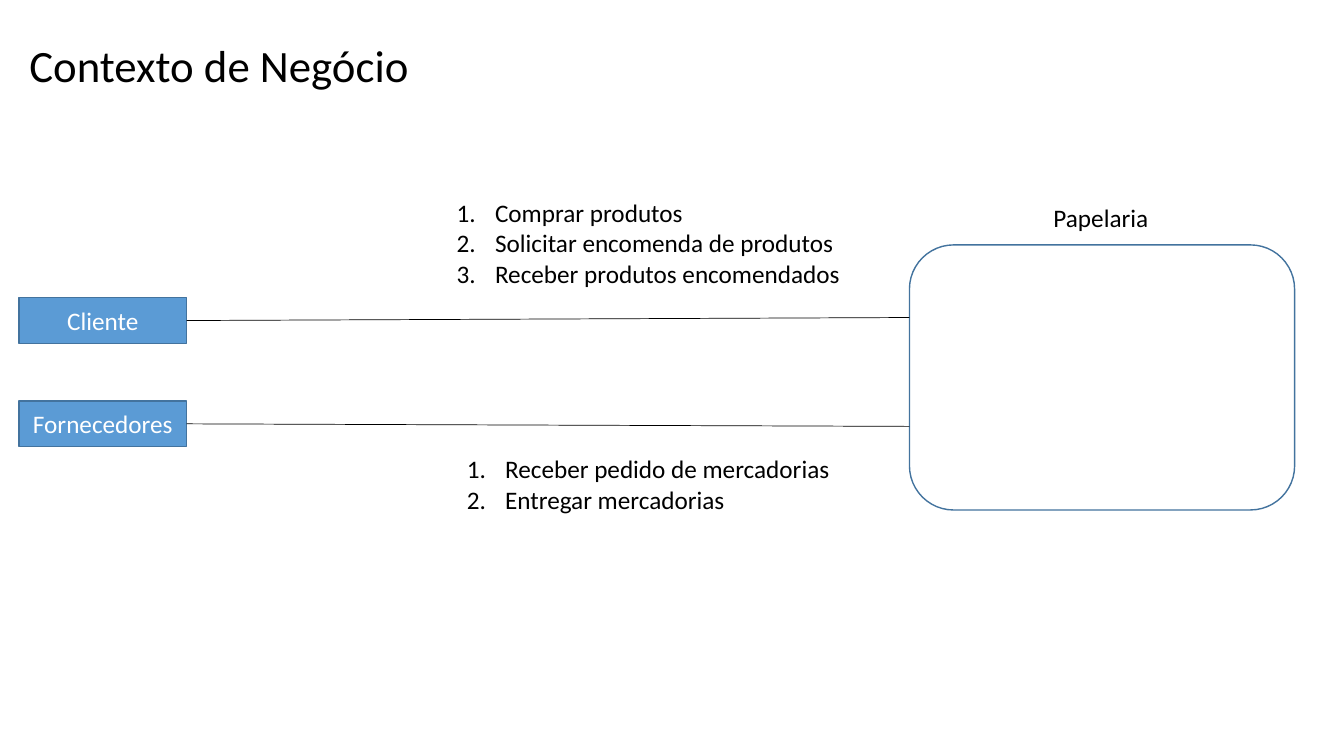
from dataclasses import dataclass

from lxml import etree
from pptx import Presentation
from pptx.dml.color import RGBColor
from pptx.enum.shapes import MSO_CONNECTOR, MSO_SHAPE
from pptx.enum.text import MSO_ANCHOR, MSO_AUTO_SIZE, PP_ALIGN
from pptx.oxml.ns import qn
from pptx.shapes.autoshape import Shape
from pptx.slide import Slide
from pptx.text.text import TextFrame
from pptx.util import Inches, Pt

BLUE = RGBColor(0x5B, 0x9B, 0xD5)
EDGE = RGBColor(0x43, 0x73, 0x9E)
BLACK = RGBColor(0, 0, 0)
WHITE = RGBColor(0xFF, 0xFF, 0xFF)
FONT = "Calibri"
RECT = MSO_SHAPE.RECTANGLE
ROUND = MSO_SHAPE.ROUNDED_RECTANGLE
LINE = MSO_CONNECTOR.STRAIGHT
LEFT, CENTER = PP_ALIGN.LEFT, PP_ALIGN.CENTER
TOP, MIDDLE = MSO_ANCHOR.TOP, MSO_ANCHOR.MIDDLE
FIXED = MSO_AUTO_SIZE.NONE
RIGHT_SITE = 3
TWO_LISTS = 3


@dataclass
class Area:
    """A place on the slide, in inches."""
    left: float
    top: float
    width: float
    height: float


@dataclass
class Actor:
    """A business actor, the end of its line and its numbered actions."""
    name: str
    area: Area
    end: float
    items: list[str]
    place: Area


SYSTEM = Area(9.02, 2.43, 3.82, 2.63)
ACTORS = [
    Actor("Cliente", Area(0.19, 2.95, 1.66, 0.46), 3.15,
          ["Comprar produtos", "Solicitar encomenda de produtos",
           "Receber produtos encomendados"],
          Area(4.43, 1.91, 4.04, 1.01)),
    Actor("Fornecedores", Area(0.19, 3.98, 1.66, 0.45), 4.23,
          ["Receber pedido de mercadorias", "Entregar mercadorias"],
          Area(4.53, 4.45, 3.84, 0.71)),
]


def move(shape: Shape, area: Area) -> None:
    """Put a shape in an area."""
    shape.left, shape.top = Inches(area.left), Inches(area.top)
    shape.width, shape.height = Inches(area.width), Inches(area.height)


def write(frame: TextFrame, lines: list[str], size: int = 18,
          color: RGBColor = BLACK, align: PP_ALIGN = LEFT,
          anchor: MSO_ANCHOR = TOP, wrap: bool = True) -> None:
    """Fill a text frame with evenly formatted paragraphs."""
    frame.text = "\n".join(lines)
    frame.word_wrap = wrap
    frame.auto_size = FIXED
    frame.vertical_anchor = anchor
    for para in frame.paragraphs:
        para.alignment = align
        para.line_spacing = 1.0
        para.space_before = para.space_after = Pt(0)
        para.font.name = FONT
        para.font.size = Pt(size)
        para.font.color.rgb = color


def number(frame: TextFrame) -> None:
    """Number the paragraphs with a hanging indent."""
    indent = Inches(0.38)
    for para in frame.paragraphs:
        props = para._p.get_or_add_pPr()
        props.set("marL", str(indent))
        props.set("indent", str(-indent))
        mark = etree.Element(qn("a:buAutoNum"), type="arabicPeriod")
        props.find(qn("a:defRPr")).addprevious(mark)


def add_box(slide: Slide, kind: MSO_SHAPE, area: Area) -> Shape:
    """Add an outlined shape without fill."""
    box = slide.shapes.add_shape(kind, 0, 0, 0, 0)
    move(box, area)
    box.shadow.inherit = False
    box.fill.background()
    box.line.color.rgb = EDGE
    box.line.width = Pt(1)
    return box


def add_actor(slide: Slide, actor: Actor, body: Shape) -> None:
    """Draw an actor, its line to the system and its list."""
    box = add_box(slide, RECT, actor.area)
    box.fill.solid()
    box.fill.fore_color.rgb = BLUE
    write(box.text_frame, [actor.name], color=WHITE, align=CENTER,
          anchor=MIDDLE)

    end = Inches(SYSTEM.left), Inches(actor.end)
    line = slide.shapes.add_connector(LINE, 0, 0, *end)
    line.begin_connect(box, RIGHT_SITE)
    line.line.color.rgb = BLACK
    line.line.width = Pt(0.5)
    etree.SubElement(line._element.spPr, qn("a:effectLst"))

    move(body, actor.place)
    write(body.text_frame, actor.items, wrap=False)
    number(body.text_frame)


def main() -> None:
    """Build and save the slide."""
    deck = Presentation()
    deck.slide_width, deck.slide_height = Inches(13.33), Inches(7.5)
    slide = deck.slides.add_slide(deck.slide_layouts[TWO_LISTS])

    title, *bodies = list(slide.placeholders)
    move(title, Area(0.19, 0.32, 4.06, 0.64))
    write(title.text_frame, ["Contexto de Negócio"], size=32)

    add_box(slide, ROUND, SYSTEM)
    label = slide.shapes.add_textbox(0, 0, 0, 0)
    move(label, Area(10.35, 1.96, 1.15, 0.4))
    write(label.text_frame, ["Papelaria"], wrap=False)

    for actor, body in zip(ACTORS, bodies):
        add_actor(slide, actor, body)
    deck.save("out.pptx")


main()
